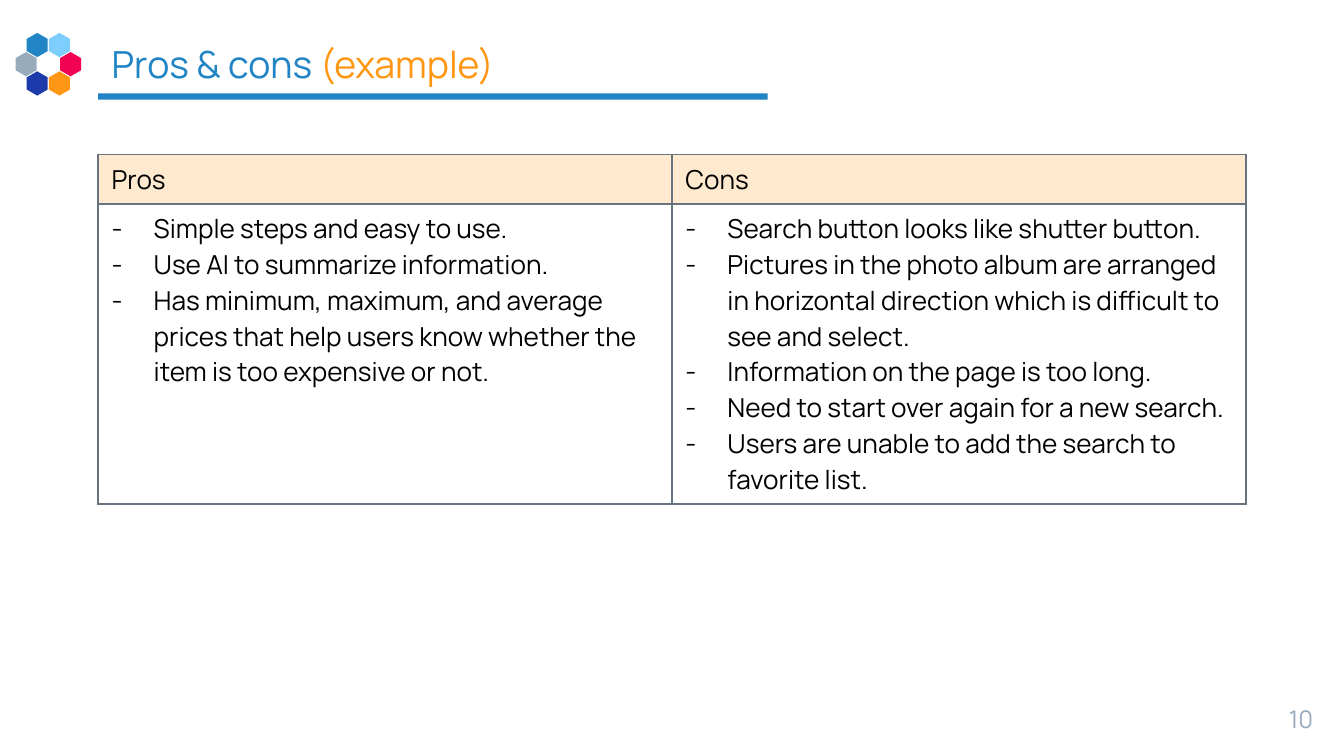
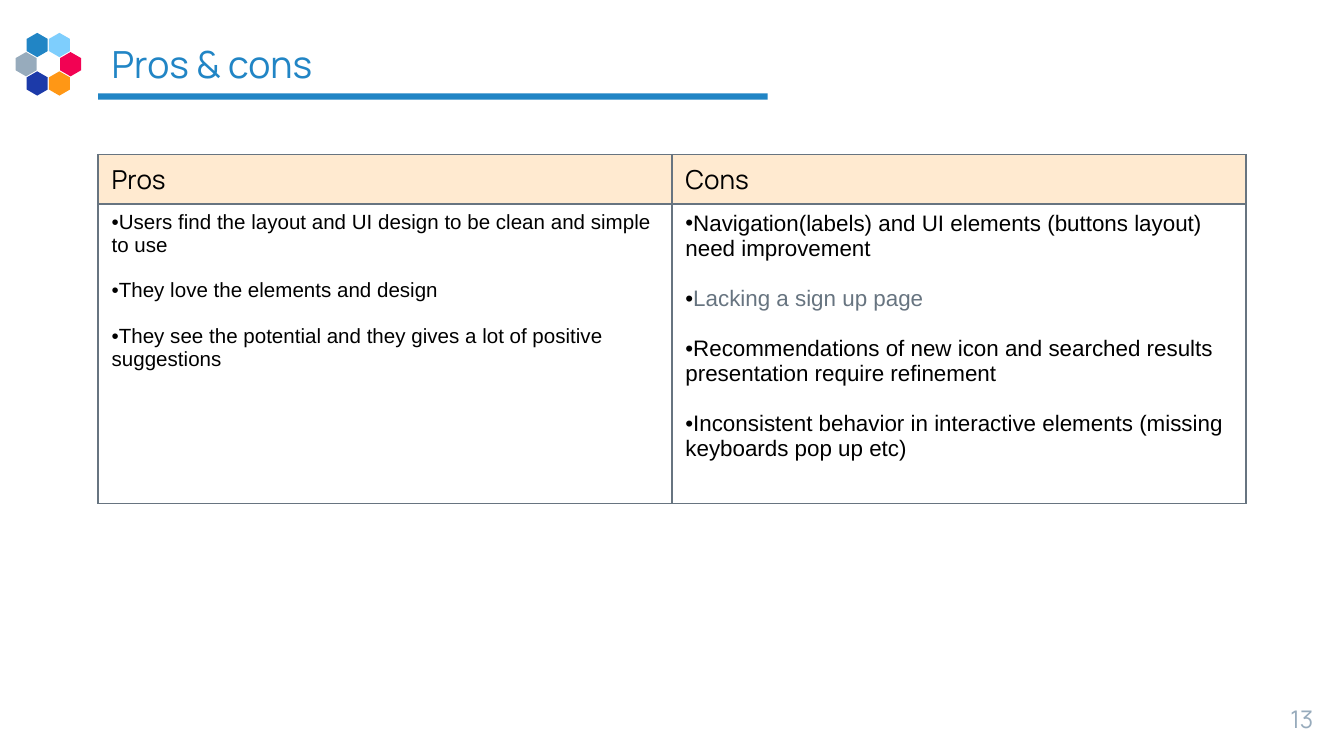
from math import cos, radians, sin

from lxml.etree import SubElement
from pptx import Presentation
from pptx.dml.color import RGBColor
from pptx.enum.shapes import MSO_SHAPE
from pptx.enum.text import MSO_ANCHOR, MSO_AUTO_SIZE, PP_ALIGN
from pptx.oxml.ns import qn
from pptx.util import Pt

COLORS = {
    "blue": "2185C5",
    "sky": "7ECEFD",
    "navy": "1C3AA9",
    "orange": "FF9715",
    "red": "F20253",
    "steel": "97ABBC",
    "slate": "677480",
    "cream": "FFEAD0",
    "black": "000000",
}
TITLE_FONT = {"name": "Manrope", "size": Pt(20), "bold": False}
NUMBER_FONT = {"name": "Manrope", "size": Pt(13)}
TABLE_FONT = {"name": "Manrope", "size": Pt(14), "bold": False}
FRAME_FORMAT = {
    "word_wrap": True,
    "auto_size": MSO_AUTO_SIZE.NONE,
    "margin_left": Pt(7.2),
    "margin_right": Pt(7.2),
    "margin_top": Pt(7.2),
    "margin_bottom": Pt(7.2),
}
LEFT, COLUMN_WIDTH = 52.6, 307.4
ROW_HEIGHTS = [26.5, 160.5]
RING_X, RING_Y, RING_RADIUS, HEXAGON_RADIUS = 25.9, 34.4, 11.9, 6.5
RING_COLORS = ["red", "orange", "navy", "steel", "blue", "sky"]
LINE_HEIGHT = 1.117

SLIDES = [
    {
        "number": "10",
        "title": [("Pros & cons ", "blue"), ("(example)", "orange")],
        "bullet": "-",
        "font": "Manrope",
        "indent": 22.5,
        "line_gap": 0,
        "columns": [
            ("Pros", 14, [
                "Simple steps and easy to use.",
                "Use AI to summarize information.",
                "Has minimum, maximum, and average prices that help users know "
                "whether the item is too expensive or not.",
            ]),
            ("Cons", 14, [
                "Search button looks like shutter button.",
                "Pictures in the photo album are arranged in horizontal direction "
                "which is difficult to see and select.",
                "Information on the page is too long.",
                "Need to start over again for a new search.",
                "Users are unable to add the search to favorite list.",
            ]),
        ],
    },
    {
        "number": "13",
        "title": [("Pros & cons", "blue")],
        "bullet": "•",
        "font": "Arial",
        "indent": 0,
        "line_gap": 1,
        "columns": [
            ("Pros", 11, [
                "Users find the layout and UI design to be clean and simple to use",
                "They love the elements and design",
                "They see the potential and they gives a lot of positive suggestions",
            ]),
            ("Cons", 12, [
                "Navigation(labels) and UI elements (buttons layout) need improvement",
                "Lacking a sign up page",
                "Recommendations of new icon and searched results presentation "
                "require refinement",
                "Inconsistent behavior in interactive elements (missing keyboards "
                "pop up etc)",
            ]),
        ],
    },
]
MUTED_POINTS = {"Lacking a sign up page"}


def add_run(paragraph, text, color, font_format):
    run = paragraph.add_run()
    run.text = text
    run.font.color.rgb = RGBColor.from_string(COLORS[color])
    for attribute, value in font_format.items():
        setattr(run.font, attribute, value)


def set_bullet(paragraph, character, font_name, indent):
    """Give the paragraph a black bullet with a hanging indent in points."""
    properties = paragraph._p.get_or_add_pPr()
    properties.set("marL", str(Pt(indent)))
    properties.set("indent", str(-Pt(indent)))
    color = SubElement(properties, qn("a:buClr"))
    SubElement(color, qn("a:srgbClr"), val=COLORS["black"])
    SubElement(properties, qn("a:buFont"), typeface=font_name)
    SubElement(properties, qn("a:buChar"), char=character)


presentation = Presentation()
presentation.slide_width = Pt(720)
presentation.slide_height = Pt(405)

for content in SLIDES:
    slide = presentation.slides.add_slide(presentation.slide_layouts[5])
    shapes = slide.shapes

    # Title, underline and ring of hexagons
    title = shapes.title
    title.left, title.top, title.width, title.height = Pt(LEFT), Pt(18), Pt(615.6), Pt(31.7)
    title.text_frame.vertical_anchor = MSO_ANCHOR.MIDDLE
    heading = title.text_frame.paragraphs[0]
    heading.alignment = PP_ALIGN.LEFT
    for text, color in content["title"]:
        add_run(heading, text, color, TITLE_FONT)

    underline = shapes.add_shape(MSO_SHAPE.RECTANGLE, Pt(LEFT), Pt(50), Pt(358.6), Pt(3.4))
    ornaments = [(underline, "blue")]
    for position, color in enumerate(RING_COLORS):
        angle = radians(60 * position)
        center_x = RING_X + RING_RADIUS * cos(angle)
        center_y = RING_Y + RING_RADIUS * sin(angle)
        corners = [
            (Pt(center_x + HEXAGON_RADIUS * cos(radians(turn))),
             Pt(center_y + HEXAGON_RADIUS * sin(radians(turn))))
            for turn in range(30, 390, 60)
        ]
        outline = shapes.build_freeform(*corners[0])
        outline.add_line_segments(corners[1:], close=True)
        ornaments.append((outline.convert_to_shape(), color))
    for ornament, color in ornaments:
        ornament.shadow.inherit = False
        ornament.fill.solid()
        ornament.fill.fore_color.rgb = RGBColor.from_string(COLORS[color])
        ornament.line.fill.background()

    # Page number
    page_number = shapes.add_textbox(Pt(667.4), Pt(370), Pt(43.2), Pt(24.5))
    number_line = page_number.text_frame.paragraphs[0]
    number_line.alignment = PP_ALIGN.RIGHT
    add_run(number_line, content["number"], "steel", NUMBER_FONT)

    for frame in (title.text_frame, page_number.text_frame):
        for attribute, value in FRAME_FORMAT.items():
            setattr(frame, attribute, value)

    # Pros and cons
    table = shapes.add_table(
        2, 2, Pt(LEFT), Pt(82.8), Pt(2 * COLUMN_WIDTH), Pt(sum(ROW_HEIGHTS))
    ).table
    table.first_row = table.horz_banding = False
    for row, height in zip(table.rows, ROW_HEIGHTS):
        row.height = Pt(height)

    for cell in table.iter_cells():
        cell_properties = cell._tc.get_or_add_tcPr()
        for side in ("lnL", "lnR", "lnT", "lnB"):
            border = SubElement(cell_properties, qn(f"a:{side}"), w=str(Pt(1)))
            border_fill = SubElement(border, qn("a:solidFill"))
            SubElement(border_fill, qn("a:srgbClr"), val=COLORS["slate"])

    for column, (header, size, points) in enumerate(content["columns"]):
        header_cell, body_cell = table.cell(0, column), table.cell(1, column)
        header_cell.fill.solid()
        header_cell.fill.fore_color.rgb = RGBColor.from_string(COLORS["cream"])
        body_cell.fill.background()
        add_run(header_cell.text_frame.paragraphs[0], header, "black", TABLE_FONT)

        body = body_cell.text_frame
        point_font = {**TABLE_FONT, "name": content["font"], "size": Pt(size)}
        for index, point in enumerate(points):
            paragraph = body.add_paragraph() if index else body.paragraphs[0]
            if index:
                paragraph.space_before = Pt(content["line_gap"] * size * LINE_HEIGHT)
            set_bullet(paragraph, content["bullet"], content["font"], content["indent"])
            color = "slate" if point in MUTED_POINTS else "black"
            add_run(paragraph, point, color, point_font)

presentation.save("out.pptx")
